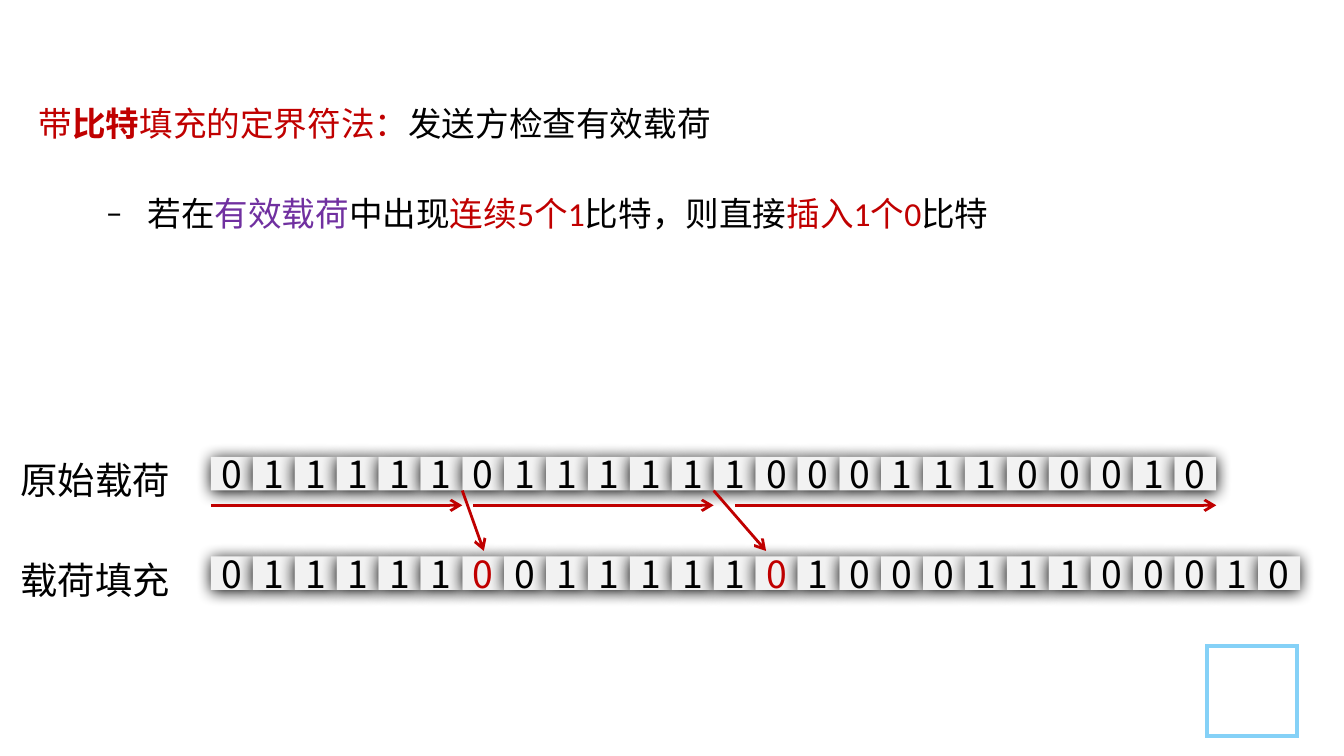
from dataclasses import dataclass

from pptx import Presentation
from pptx.dml.color import RGBColor as RGB
from pptx.enum.shapes import MSO_CONNECTOR as CONN, MSO_SHAPE as SHAPE
from pptx.enum.text import MSO_ANCHOR as ANCHOR, PP_ALIGN as ALIGN
from pptx.oxml import parse_xml
from pptx.oxml.ns import nsdecls
from pptx.util import Inches, Pt


@dataclass(frozen=True)
class Theme:
    """Colours, fonts and type sizes of the slide."""
    black: str = "000000"
    white: str = "FFFFFF"
    red: str = "C00000"
    purple: str = "7030A0"
    cell: str = "F2F2F2"
    frame: str = "85D1F7"
    latin: str = "Calibri"
    cjk: str = "Noto Sans CJK SC"
    body: int = 18
    bit: int = 20


def element(xml):
    """Return a DrawingML element from its inner markup."""
    tag, _, rest = xml.partition(" ")
    return parse_xml(f"<a:{tag} {nsdecls('a')} {rest}")


def apply(obj, values):
    """Set each attribute named in a dict."""
    for name, value in values.items():
        setattr(obj, name, value)


def stuff(bits, limit=5):
    """Return the stuffed bits and the positions of the inserted zeros."""
    out, added, ones = "", [], 0
    for bit in bits:
        out += bit
        ones = ones + 1 if bit == "1" else 0
        if ones == limit:
            added.append(len(out))
            out += "0"
            ones = 0
    return out, added


class Deck:
    """Style and current slide, with a method for each kind of element."""

    def __init__(self, prs, theme):
        """Add a blank slide to draw on."""
        self.t = theme
        self.s = prs.slides.add_slide(prs.slide_layouts[6])

    def run(self, p, text, size, color, face, bold=False):
        """Add a formatted run to a paragraph."""
        r = p.add_run()
        r.text = text
        apply(r.font, {"size": Pt(size), "name": face, "bold": bold})
        r.font.color.rgb = RGB.from_string(color)
        r.font._element.append(element(f'ea typeface="{self.t.cjk}"/>'))

    def rect(self, x, y, w, h, fill, line=None):
        """Draw a rectangle with an optional outline."""
        sp = self.s.shapes.add_shape(SHAPE.RECTANGLE, *map(Inches, (x, y, w, h)))
        sp.fill.solid()
        sp.fill.fore_color.rgb = RGB.from_string(fill)
        if line:
            sp.line.color.rgb = RGB.from_string(line)
            sp.line.width = Pt(2)
            sp.line._get_or_add_ln().append(element('miter lim="800000"/>'))
        else:
            sp.line.fill.background()
        sp.shadow.inherit = False
        return sp

    def bit(self, x, y, w, h, text, color):
        """Draw one shadowed bit cell."""
        sp = self.rect(x, y, w, h, self.t.cell)
        sp._element.spPr[-1].append(element(
            f'outerShdw blurRad="{Pt(8.5)}" dist="{Pt(1)}" dir="5400000" '
            f'algn="t" rotWithShape="0"><a:srgbClr val="{self.t.black}"/></a:outerShdw>'))
        tf = sp.text_frame
        apply(tf, {"word_wrap": False, "vertical_anchor": ANCHOR.MIDDLE,
                   "margin_left": Inches(0.02), "margin_right": Inches(0.02)})
        p = tf.paragraphs[0]
        p.alignment = ALIGN.CENTER
        self.run(p, text, self.t.bit, color, self.t.cjk)

    def box(self, x, y, w, h):
        """Add a wrapping text box and return its text frame."""
        tf = self.s.shapes.add_textbox(*map(Inches, (x, y, w, h))).text_frame
        tf.word_wrap = True
        return tf

    def label(self, y, text):
        """Add a centred row label."""
        p = self.box(0, y, 1.42, 0.44).paragraphs[0]
        p.alignment = ALIGN.CENTER
        self.run(p, text, self.t.bit, self.t.black, self.t.cjk)

    def arrow(self, x1, y1, x2, y2):
        """Draw a line with an open arrowhead at its end."""
        c = self.s.shapes.add_connector(CONN.STRAIGHT, *map(Inches, (x1, y1, x2, y2)))
        c.line.color.rgb = RGB.from_string(self.t.red)
        c.line.width = Pt(1.5)
        c.line._get_or_add_ln().append(element('tailEnd type="arrow"/>'))
        c._element.spPr.append(element("effectLst />"))

    def body(self, tf, heading, point):
        """Fill a text frame with a heading and a dashed point."""
        p = tf.paragraphs[0]
        q = tf.add_paragraph()
        q.level = 1
        q.space_before = Pt(12)
        pPr = q._p.get_or_add_pPr()
        pPr.set("marL", str(Inches(0.81)))
        pPr.set("indent", str(Inches(-0.31)))
        pPr.append(element(f'buFont typeface="{self.t.latin}"/>'))
        pPr.append(element('buChar char="–"/>'))
        for para, runs in ((p, heading), (q, point)):
            para.line_spacing = Pt(36)
            for text, color, *bold in runs:
                self.run(para, text, self.t.body, color, self.t.latin, bool(bold))


def main():
    """Build the bit stuffing slide."""
    prs = Presentation()
    width = Inches(10)
    apply(prs, {"slide_width": width, "slide_height": width * 9 // 16})
    t = Theme()
    d = Deck(prs, t)
    d.rect(8.98, 4.81, 0.67, 0.67, t.white, t.frame)

    payload = "011111011111100011100010"
    stuffed, added = stuff(payload)
    left, right = 1.57, 9.05
    pitch = (right - left) / len(payload)
    rows = (("原始载荷", 3.4, 3.35, payload, []),
            ("载荷填充", 4.14, 4.1, stuffed, added))
    for name, y, label_y, bits, marks in rows:
        d.label(label_y, name)
        for i, bit in enumerate(bits):
            d.bit(left + i * pitch, y, pitch, 0.25, bit, t.red if i in marks else t.black)

    cuts = [left + (pos - n) * pitch for n, pos in enumerate(added)]
    for cut, tip in zip(cuts, (3.6, 5.7)):
        d.arrow(cut, 3.65, tip, 4.1)
    for start, end in zip((left, 3.52, 5.47), (*cuts, right)):
        d.arrow(start, 3.76, end, 3.76)

    d.body(d.box(0.19, 0.52, 8.7, 1.67),
           [("带", t.red), ("比特", t.red, True), ("填充的定界符法：", t.red),
            ("发送方检查有效载荷", t.black)],
           [("若在", t.black), ("有效载荷", t.purple), ("中出现", t.black),
            ("连续5个1", t.red), ("比特，则直接", t.black),
            ("插入1个0", t.red), ("比特", t.black)])
    prs.save("out.pptx")


if __name__ == "__main__":
    main()
